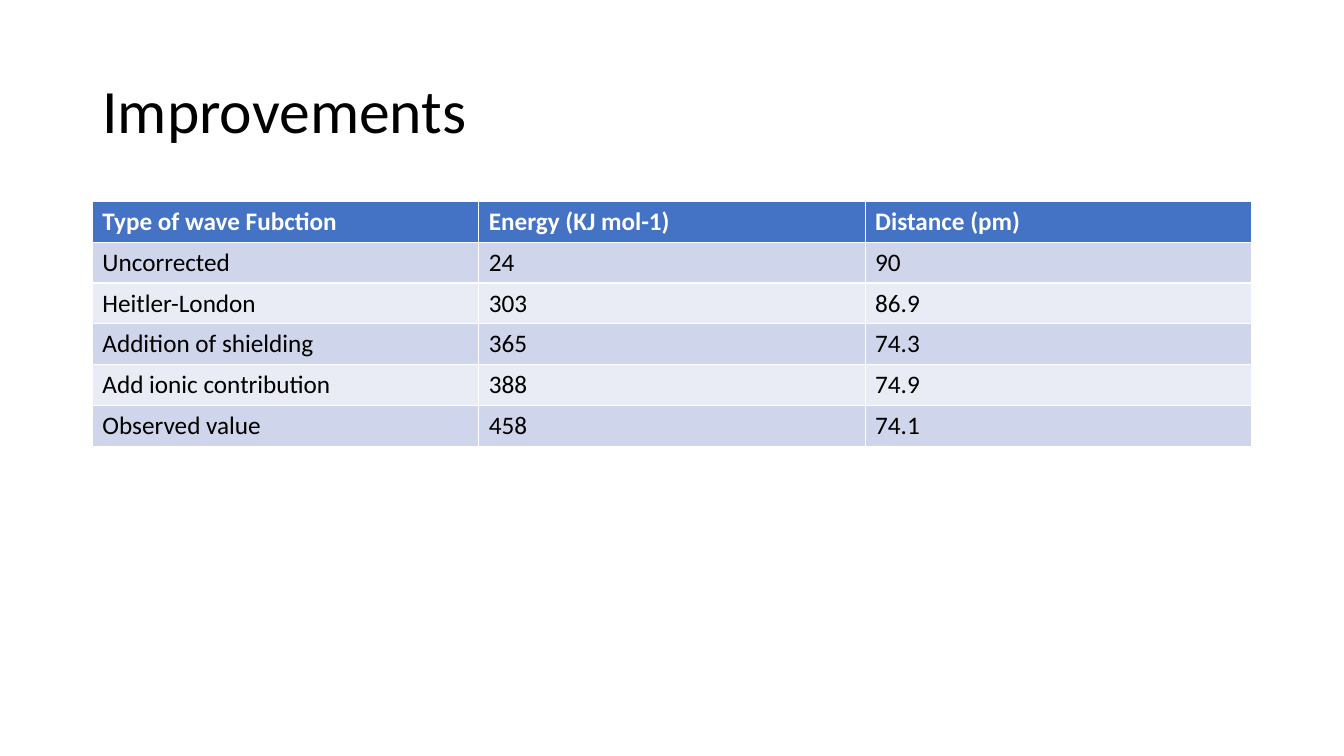
from pptx import Presentation
from pptx.dml.color import RGBColor
from pptx.enum import text as t
from pptx.util import Pt

LEFT, WIDTH = 66, 828
ROW = 29.2
ROWS = [
    ("Type of wave Fubction", "Energy (KJ mol-1)", "Distance (pm)"),
    ("Uncorrected", "24", "90"),
    ("Heitler-London", "303", "86.9"),
    ("Addition of shielding", "365", "74.3"),
    ("Add ionic contribution", "388", "74.9"),
    ("Observed value", "458", "74.1"),
]
HEAD = "4472C4"
BANDS = ("E9EBF5", "CFD5EA")


def paint(part, color):
    part.rgb = RGBColor.from_string(color)


def style(par, size, color, bold=False):
    par.alignment = t.PP_ALIGN.LEFT
    par.font.name = "Calibri"
    par.font.size = Pt(size)
    par.font.bold = bold
    paint(par.font.color, color)


def add_title(slide, words):
    title = slide.shapes.title
    title.left, title.top = Pt(LEFT), Pt(28.75)
    title.width, title.height = Pt(WIDTH), Pt(104.4)
    frame = title.text_frame
    frame.text = words
    frame.word_wrap = True
    frame.auto_size = t.MSO_AUTO_SIZE.NONE
    frame.vertical_anchor = t.MSO_ANCHOR.MIDDLE
    par = frame.paragraphs[0]
    par.line_spacing = 0.9
    style(par, 44, "000000")


def fill_cell(cell, words, row):
    head = row == 0
    cell.text = words
    cell.fill.solid()
    paint(cell.fill.fore_color, HEAD if head else BANDS[row % 2])
    style(cell.text_frame.paragraphs[0], 18, "FFFFFF" if head else "000000", head)


def add_grid(slide, rows):
    frame = slide.shapes.add_table(
        len(rows), len(rows[0]), Pt(LEFT), Pt(143.75), Pt(WIDTH), Pt(ROW * len(rows))
    )
    for r, row in enumerate(rows):
        for c, words in enumerate(row):
            fill_cell(frame.table.cell(r, c), words, r)


def main():
    deck = Presentation()
    deck.slide_width, deck.slide_height = Pt(960), Pt(540)
    slide = deck.slides.add_slide(deck.slide_layouts.get_by_name("Title Only"))
    add_title(slide, "Improvements")
    add_grid(slide, ROWS)
    deck.save("out.pptx")


if __name__ == "__main__":
    main()
